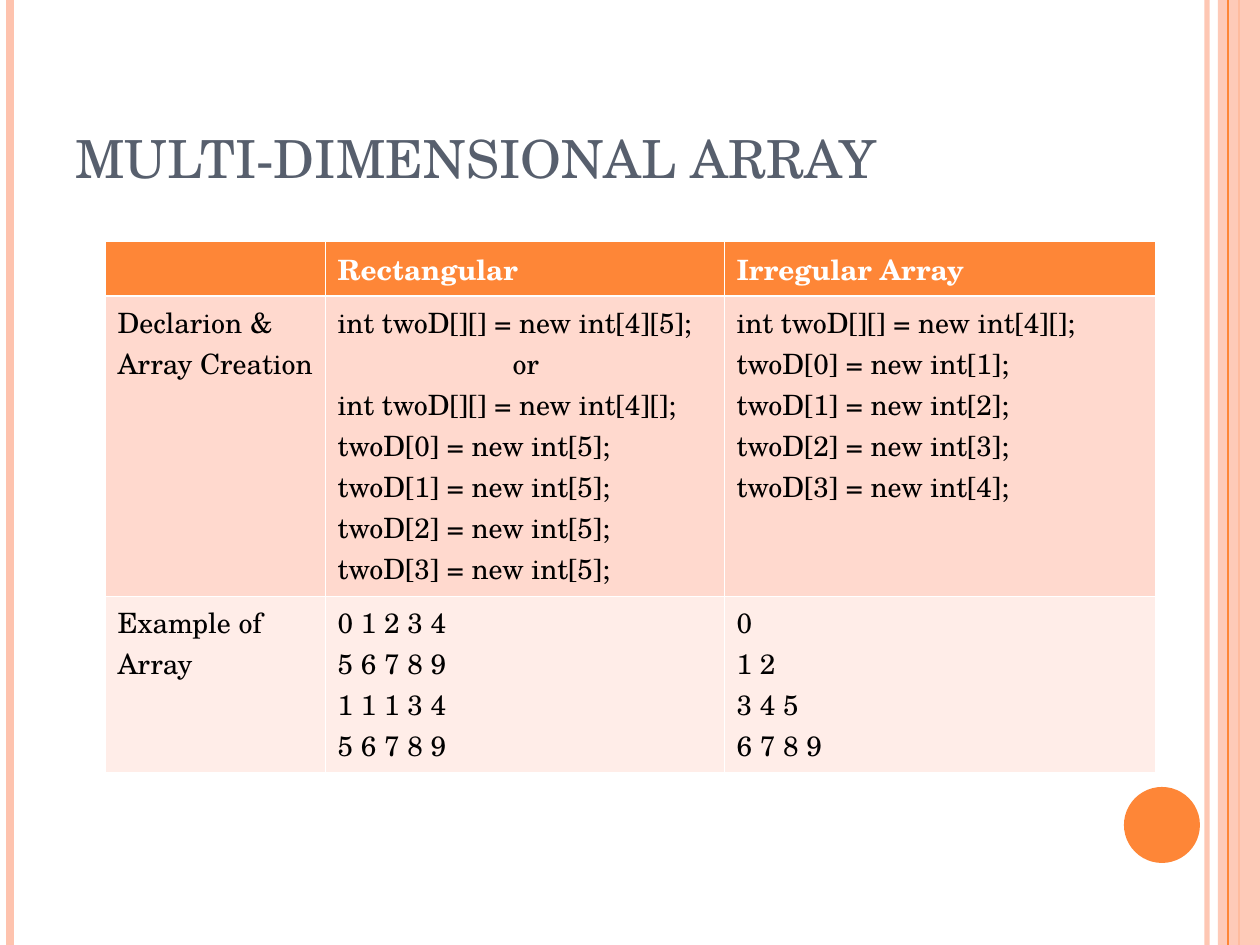
"""Build the slide on multi-dimensional arrays."""
from lxml import etree
from pptx import Presentation
from pptx.dml.color import RGBColor
from pptx.enum import shapes, text
from pptx.oxml.ns import qn
from pptx.util import Pt

ORANGE = RGBColor(0xFE, 0x86, 0x37)
PEACH = RGBColor(0xFE, 0xC3, 0xAE)
SLATE = RGBColor(0x57, 0x5F, 0x6D)
PINK = RGBColor(0xFF, 0xD9, 0xCE)
PALE = RGBColor(0xFF, 0xED, 0xE8)
WHITE = RGBColor(0xFF, 0xFF, 0xFF)
BLACK = RGBColor(0, 0, 0)
FONT = "TeX Gyre Schola"
SCALE = 914400 / 126
WIDE, HIGH = 1260, 945

TITLE = "MULTI-DIMENSIONAL ARRAY"
ROWS = [
    ["", "Rectangular", "Irregular Array"],
    ["Declarion & Array Creation",
     "int twoD[][] = new int[4][5];\nor\nint twoD[][] = new int[4][];\n"
     "twoD[0] = new int[5];\ntwoD[1] = new int[5];\n"
     "twoD[2] = new int[5];\ntwoD[3] = new int[5];",
     "int twoD[][] = new int[4][];\ntwoD[0] = new int[1];\n"
     "twoD[1] = new int[2];\ntwoD[2] = new int[3];\ntwoD[3] = new int[4];"],
    ["Example of Array",
     "0 1 2 3 4\n5 6 7 8 9\n1 1 1 3 4\n5 6 7 8 9",
     "0\n1 2\n3 4 5\n6 7 8 9"],
]
COLS = [220, 399, 431]
TALL = [55, 300, 176]
FILLS = [ORANGE, PINK, PALE]
THIN, THICK = 0.45, 1.47
EDGES = [(THIN, THICK), (THICK, THIN), (THIN, THIN)]
BACK = [(1207, PEACH, 3, 93), (10, PEACH, 4.5, 100), (1239, ORANGE, 1.5, 100)]
FRONT = [(1228, ORANGE, 0.75, 100)]


def px(*sizes):
    return [round(size * SCALE) for size in sizes]


def fade(part, alpha):
    if alpha < 100:
        tint = next(part.iter(qn("a:srgbClr")))
        etree.SubElement(tint, qn("a:alpha"), val=str(alpha * 1000))


def rule(slide, left, color, width, alpha):
    line = slide.shapes.add_connector(
        shapes.MSO_CONNECTOR.STRAIGHT, *px(left, 0, left, HIGH))
    line.line.color.rgb = color
    line.line.width = Pt(width)
    props = line._element.spPr
    fade(props, alpha)
    etree.SubElement(props, qn("a:effectLst"))


def block(slide, kind, box, color, alpha=100):
    shape = slide.shapes.add_shape(kind, *px(*box))
    shape.shadow.inherit = False
    shape.fill.solid()
    shape.fill.fore_color.rgb = color
    shape.line.fill.background()
    fade(shape._element.spPr, alpha)


def style(frame, size, color, bold=False):
    for para in frame.paragraphs:
        for run in para.runs:
            run.font.name = FONT
            run.font.size = Pt(size)
            run.font.bold = bold
            run.font.color.rgb = color


def border(cell, top, bottom):
    props = cell._tc.get_or_add_tcPr()
    for side, width in zip("LRTB", (THIN, THIN, top, bottom)):
        edge = etree.SubElement(props, qn("a:ln" + side), w=str(Pt(width)))
        fill = etree.SubElement(edge, qn("a:solidFill"))
        etree.SubElement(fill, qn("a:srgbClr"), val=str(WHITE))


def grid(slide):
    table = slide.shapes.add_table(
        len(ROWS), len(COLS), *px(105, 241, sum(COLS), sum(TALL))).table
    for col, width in zip(table.columns, px(*COLS)):
        col.width = width
    for r, (row, high) in enumerate(zip(table.rows, px(*TALL))):
        row.height = high
        for cell, words in zip(row.cells, ROWS[r]):
            border(cell, *EDGES[r])
            cell.fill.solid()
            cell.fill.fore_color.rgb = FILLS[r]
            cell.margin_right, = px(10)
            cell.text_frame.text = words
            style(cell.text_frame, 16, BLACK if r else WHITE, r == 0)
    table.cell(1, 1).text_frame.paragraphs[1].alignment = text.PP_ALIGN.CENTER


def main():
    deck = Presentation()
    deck.slide_width, deck.slide_height = px(WIDE, HIGH)
    slide = deck.slides.add_slide(deck.slide_layouts[6])
    for item in BACK:
        rule(slide, *item)
    block(slide, shapes.MSO_SHAPE.RECTANGLE, (1218, 0, 42, HIGH), PEACH, 87)
    for item in FRONT:
        rule(slide, *item)
    block(slide, shapes.MSO_SHAPE.OVAL, (1124, 787, 76, 76), ORANGE)
    frame = slide.shapes.add_textbox(*px(63, 38, 1029, 157)).text_frame
    frame.word_wrap = True
    frame.vertical_anchor = text.MSO_ANCHOR.BOTTOM
    frame.text = TITLE
    style(frame, 30, SLATE)
    grid(slide)
    deck.save("out.pptx")


if __name__ == "__main__":
    main()
